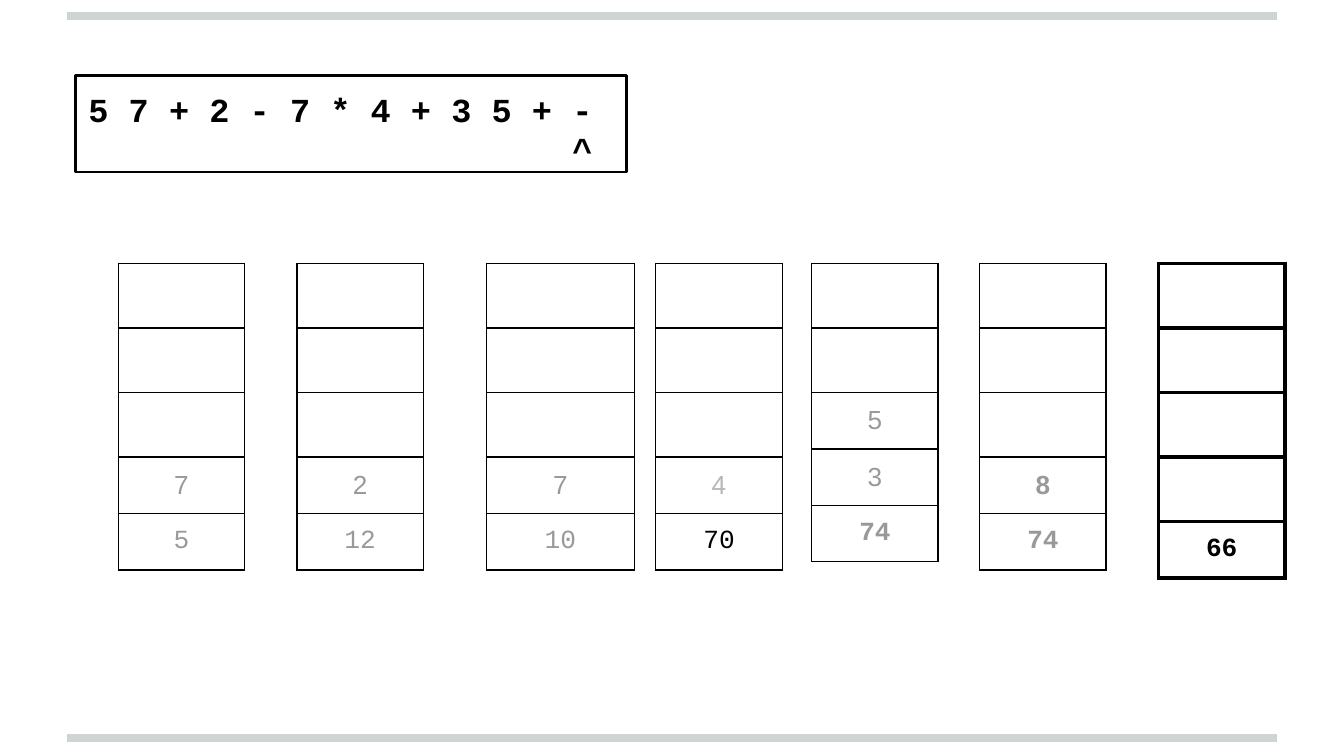
from pptx import Presentation
from pptx import util as u
from pptx.dml.color import RGBColor
from pptx.enum import shapes, text
from pptx.oxml import parse_xml
from pptx.oxml.ns import nsdecls, qn
from lxml import etree

BLACK = RGBColor(0, 0, 0)
GREY = RGBColor(0x99, 0x99, 0x99)
PALE = RGBColor(0xB7, 0xB7, 0xB7)
RULE = RGBColor(0xCF, 0xD4, 0xD4)
MONO, SANS = "Courier New", "Arial"
ROWS, ROW = 5, 0.42
CHAR = 0.15  # width of one 18 pt Courier character

# Each stack: left, width, border, entries from the bottom up
STACKS = [
    (0.88, 0.94, 0.75, [("5", {}), ("7", {"font": SANS})]),
    (2.21, 0.94, 0.75, [("12", {}), ("2", {"font": SANS})]),
    (3.62, 1.1, 0.75, [("10", {}), ("7", {"font": SANS})]),
    (4.88, 0.94, 0.75, [("70", {"color": BLACK}),
                        ("4", {"font": SANS, "color": PALE})]),
    (6.04, 0.94, 0.75, [("74", {"bold": True}), ("3", {"font": SANS}),
                        ("5", {"font": SANS})]),
    (7.29, 0.94, 0.75, [("74", {"bold": True}),
                        ("8", {"font": SANS, "bold": True})]),
    (8.62, 0.94, 2.25, [("66", {"color": BLACK, "bold": True})]),
]


def write(para, words, size=14, font=MONO, color=GREY, bold=False,
          align=text.PP_ALIGN.CENTER):
    para.alignment = align
    run = para.add_run()
    run.text = words
    run.font.size = u.Pt(size)
    run.font.name = font
    run.font.color.rgb = color
    run.font.bold = bold


def rule(slide, left, top, width):
    line = slide.shapes.add_connector(
        shapes.MSO_CONNECTOR.STRAIGHT, u.Inches(left), u.Inches(top),
        u.Inches(left + width), u.Inches(top))
    line.line.color.rgb = RULE
    line.line.width = u.Pt(4)
    etree.SubElement(line._element.spPr, qn("a:effectLst"))


def formula(slide, left, top, width, height):
    box = slide.shapes.add_shape(
        shapes.MSO_SHAPE.RECTANGLE, u.Inches(left), u.Inches(top),
        u.Inches(width), u.Inches(height))
    box.shadow.inherit = False
    box.fill.background()
    box.line.color.rgb = BLACK
    box.line.width = u.Pt(1.5)
    frame = box.text_frame
    frame.word_wrap = True
    frame.vertical_anchor = text.MSO_ANCHOR.TOP
    frame.margin_left = frame.margin_right = u.Inches(0.1)
    frame.margin_top = frame.margin_bottom = u.Inches(0.1)
    style = dict(size=18, color=BLACK, bold=True, align=text.PP_ALIGN.LEFT)
    tokens = "5 7 + 2 - 7 * 4 + 3 5 + -"
    write(frame.paragraphs[0], tokens, **style)
    # Caret stands under the last token
    caret = frame.add_paragraph()
    write(caret, "^", **style)
    indent = u.Inches(CHAR * (len(tokens) - 1))
    caret._p.get_or_add_pPr().set("marL", str(indent))


def border(cell, points):
    props = cell._tc.get_or_add_tcPr()
    for i, side in enumerate(("lnL", "lnR", "lnT", "lnB")):
        props.insert(i, parse_xml(
            f'<a:{side} {nsdecls("a")} w="{u.Pt(points)}"><a:solidFill>'
            f'<a:srgbClr val="{BLACK}"/></a:solidFill></a:{side}>'))


def blank(para):
    # Font of an empty cell, which decides its row's height
    end = etree.SubElement(para._p, qn("a:endParaRPr"), sz="1800")
    etree.SubElement(end, qn("a:latin"), typeface=SANS)


def stack(slide, left, top, width, edge, items):
    table = slide.shapes.add_table(
        ROWS, 1, u.Inches(left), u.Inches(top), u.Inches(width),
        u.Inches(ROWS * ROW)).table
    table.first_row = table.horz_banding = False
    table.columns[0].width = u.Inches(width)
    for i in range(ROWS):
        table.rows[i].height = u.Inches(ROW)
        cell = table.cell(i, 0)
        cell.margin_left = cell.margin_right = u.Inches(0.1)
        cell.margin_top = cell.margin_bottom = u.Inches(0.1)
        cell.fill.background()
        border(cell, edge)
        para = cell.text_frame.paragraphs[0]
        level = ROWS - 1 - i
        if level < len(items):
            words, style = items[level]
            write(para, words, **style)
        else:
            blank(para)


def main():
    deck = Presentation()
    deck.slide_width = u.Inches(10)
    deck.slide_height = deck.slide_width * 9 // 16
    slide = deck.slides.add_slide(deck.slide_layouts[6])
    # Frame rules
    for top in (5.49, 0.12):
        rule(slide, 0.5, top, 9)
    # Postfix expression
    formula(slide, 0.56, 0.56, 4.1, 0.72)
    # Stack states, left to right
    for left, width, edge, items in STACKS:
        stack(slide, left, 1.96, width, edge, items)
    deck.save("out.pptx")


if __name__ == "__main__":
    main()
